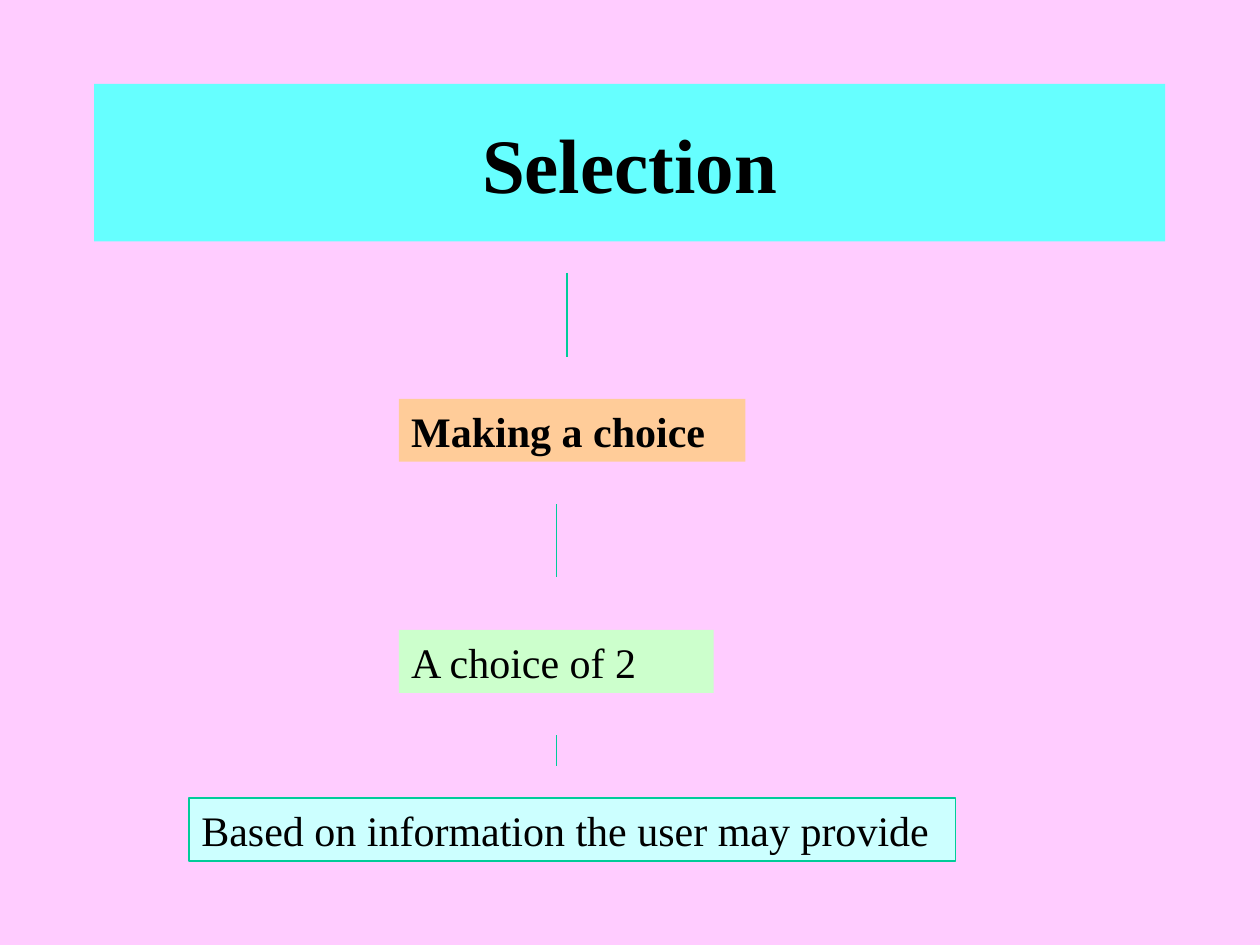
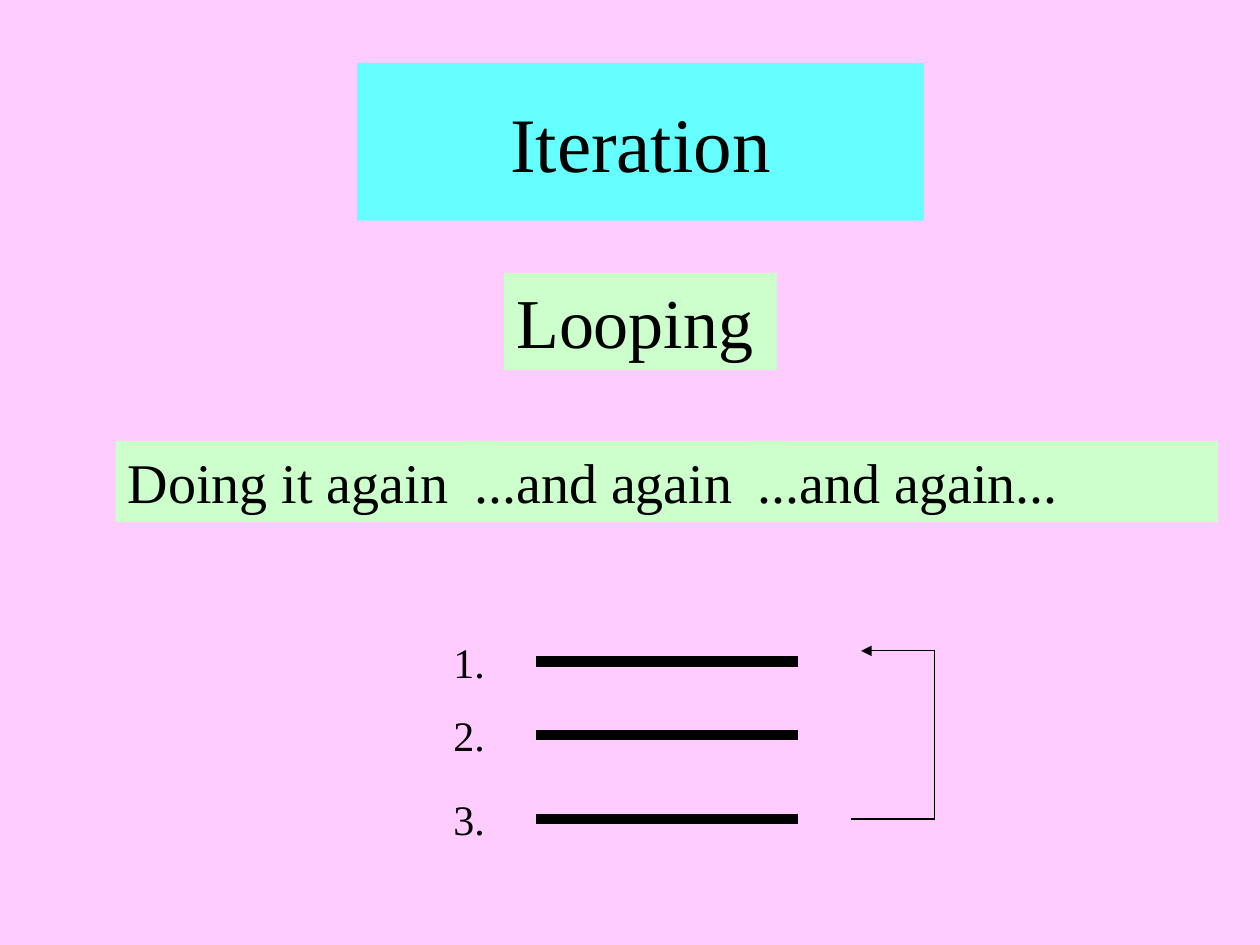
from lxml import etree
from pptx import Presentation
from pptx.dml.color import RGBColor
from pptx.enum.shapes import MSO_CONNECTOR, MSO_SHAPE
from pptx.enum.text import MSO_ANCHOR, PP_ALIGN
from pptx.oxml.ns import qn
from pptx.util import Cm, Pt

RECTANGLE = MSO_SHAPE.RECTANGLE
STRAIGHT = MSO_CONNECTOR.STRAIGHT
TOP, MIDDLE = MSO_ANCHOR.TOP, MSO_ANCHOR.MIDDLE
LEFT, CENTER = PP_ALIGN.LEFT, PP_ALIGN.CENTER

FONT = "Times New Roman"
PINK, CYAN, PALE_CYAN = "FFCCFF", "66FFFF", "CCFFFF"
ORANGE, GREEN, TEAL, BLACK = "FFCC99", "CCFFCC", "00CC99", "000000"
THIN, THICK = 0.75, 6


def color(value):
    """Turn a hex string into a colour."""
    return RGBColor.from_string(value)


class Deck:
    """Holds the shared style and the current slide; lengths are centimetres."""

    def __init__(self):
        self.presentation = Presentation()
        self.presentation.slide_width = Cm(25.4)
        self.presentation.slide_height = Cm(19.05)
        self.slide = None

    def new_slide(self):
        """Start a blank slide on the shared background."""
        self.slide = self.presentation.slides.add_slide(self.presentation.slide_layouts[6])
        background = self.slide.background.fill
        background.solid()
        background.fore_color.rgb = color(PINK)

    def set_text(self, shape, text, size, bold=False, align=LEFT, anchor=TOP):
        """Put one styled paragraph into a shape."""
        frame = shape.text_frame
        frame.text = text
        frame.word_wrap = True
        frame.vertical_anchor = anchor
        paragraph = frame.paragraphs[0]
        paragraph.alignment = align
        for run in paragraph.runs:
            run.font.name = FONT
            run.font.size = Pt(size)
            run.font.bold = bold
            run.font.color.rgb = color(BLACK)

    def box(self, left, top, width, height, text, fill, size=24, outline=None, **style):
        """Draw a filled rectangle with text."""
        shape = self.slide.shapes.add_shape(RECTANGLE, Cm(left), Cm(top), Cm(width), Cm(height))
        shape.shadow.inherit = False
        shape.fill.solid()
        shape.fill.fore_color.rgb = color(fill)
        if outline:
            shape.line.color.rgb = color(outline)
            shape.line.width = Pt(THIN)
        else:
            shape.line.fill.background()
        self.set_text(shape, text, size, **style)

    def title(self, left, top, width, text, bold=False):
        """Draw the title band."""
        self.box(left, top, width, 3.18, text, CYAN, 44, bold=bold, align=CENTER, anchor=MIDDLE)

    def label(self, left, top, width, height, text):
        """Place plain text."""
        shape = self.slide.shapes.add_textbox(Cm(left), Cm(top), Cm(width), Cm(height))
        self.set_text(shape, text, 24)

    def line(self, start, end, stroke=BLACK, width=THIN, arrow=False):
        """Draw a straight line, with an arrowhead at its end if asked."""
        connector = self.slide.shapes.add_connector(
            STRAIGHT, Cm(start[0]), Cm(start[1]), Cm(end[0]), Cm(end[1]))
        connector.line.color.rgb = color(stroke)
        connector.line.width = Pt(width)
        properties = connector._element.spPr
        if arrow:
            etree.SubElement(properties.find(qn("a:ln")), qn("a:tailEnd"), type="triangle")
        etree.SubElement(properties, qn("a:effectLst"))


def build_selection(deck):
    """Build the chain of boxes about selection."""
    deck.new_slide()
    deck.title(1.9, 1.69, 21.59, "Selection", bold=True)
    deck.box(8.04, 8.04, 6.99, 1.27, "Making a choice", ORANGE, bold=True)
    deck.box(8.04, 12.7, 6.35, 1.27, "A choice of 2", GREEN)
    deck.box(3.81, 16.09, 15.45, 1.27, "Based on information the user may provide",
             PALE_CYAN, outline=TEAL)
    for x, top, bottom in ((11.43, 5.5, 7.2), (11.22, 10.16, 11.64), (11.22, 14.82, 15.45)):
        deck.line((x, top), (x, bottom), TEAL)


def build_iteration(deck):
    """Build the loop over three numbered steps."""
    deck.new_slide()
    deck.title(7.2, 1.27, 11.43, "Iteration")
    deck.box(10.16, 5.5, 5.5, 1.96, "Looping", GREEN, 40)
    phrases = ((2.33, 7.62, "Doing it again"), (9.31, 6.56, "...and again"),
               (15.03, 9.53, "...and again..."))
    for left, width, text in phrases:
        deck.box(left, 8.89, width, 1.63, text, GREEN, 32)

    for number, y in enumerate((13.34, 14.82, 16.51), start=1):
        deck.line((10.8, y), (16.09, y), width=THICK)
        deck.label(8.89, y - 0.64, 1.48, 1.27, f"{number}.")

    loop = ((17.15, 16.51), (18.84, 16.51), (18.84, 13.12), (17.36, 13.12))
    for start, end in zip(loop, loop[1:]):
        deck.line(start, end, arrow=end == loop[-1])


def main():
    """Build and save both slides."""
    deck = Deck()
    build_selection(deck)
    build_iteration(deck)
    deck.presentation.save("out.pptx")


if __name__ == "__main__":
    main()
